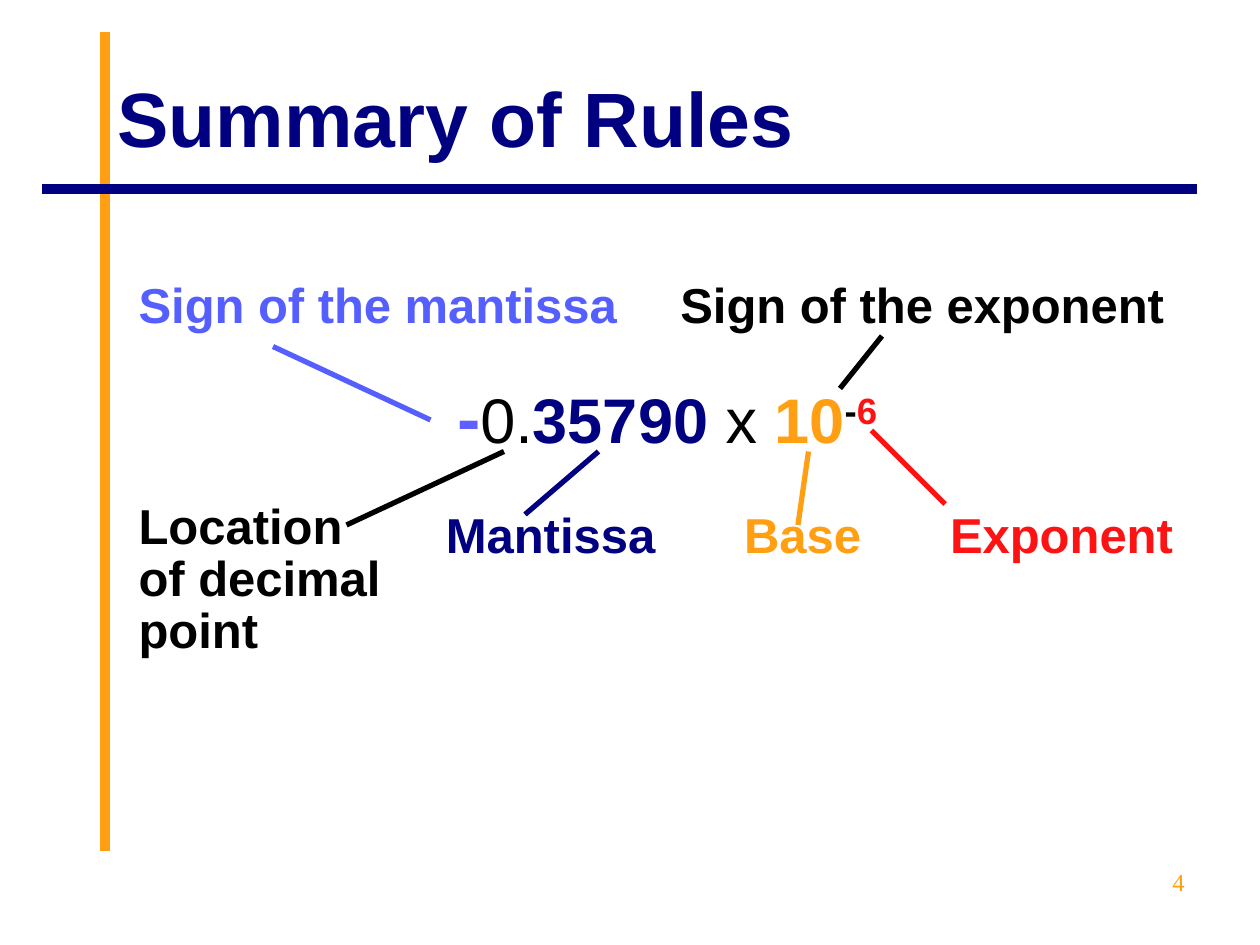
import pptx
import pptx.dml.color
import pptx.enum.shapes
import pptx.enum.text
import pptx.oxml
import pptx.oxml.ns
import pptx.util

Pt = pptx.util.Pt
ALIGN = pptx.enum.text.PP_ALIGN
ANCHOR = pptx.enum.text.MSO_ANCHOR
NAVY, ORANGE, BLACK, RED, BLUE = "000080", "FF9F11", "000000", "FD1313", "555FFF"


def set_color(color_format, value):
    color_format.rgb = pptx.dml.color.RGBColor.from_string(value)


def add_run(paragraph, text, size, color, bold=True, name="Arial"):
    run = paragraph.add_run()
    run.text = text
    run.font.size = Pt(size)
    run.font.name = name
    run.font.bold = bold
    set_color(run.font.color, color)
    return run


presentation = pptx.Presentation()
presentation.slide_width = Pt(720)
presentation.slide_height = Pt(540)
slide = presentation.slides.add_slide(presentation.slide_layouts[5])

title = slide.shapes.title
title.left, title.top, title.width, title.height = Pt(60), Pt(21.6), Pt(624), Pt(90)
title.text_frame.auto_size = pptx.enum.text.MSO_AUTO_SIZE.NONE
title.text_frame.vertical_anchor = ANCHOR.MIDDLE
paragraph = title.text_frame.paragraphs[0]
paragraph.alignment = ALIGN.LEFT
add_run(paragraph, "Summary of Rules", 44, NAVY)

column_widths = [154.8, 154.8, 154.1, 154.8]
row_heights = [42, 72, 118.8]
table = slide.shapes.add_table(
    3, 4, Pt(72), Pt(156), Pt(sum(column_widths)), Pt(sum(row_heights))
).table
table.first_row = False
table.horz_banding = False
for column, width in zip(table.columns, column_widths):
    column.width = Pt(width)
for row, height in zip(table.rows, row_heights):
    row.height = Pt(height)
for cell in table.iter_cells():
    cell.fill.background()
for row, column in [(0, 0), (0, 2), (1, 1)]:
    table.cell(row, column).merge(table.cell(row, column + 1))

labels = [
    (0, 0, "Sign of the mantissa", BLUE, ALIGN.LEFT, 1),
    (0, 2, "Sign of the exponent", BLACK, ALIGN.LEFT, 1),
    (2, 0, "Location of decimal point", BLACK, ALIGN.LEFT, 0.95),
    (2, 1, "Mantissa", NAVY, ALIGN.RIGHT, 1.55),
    (2, 2, "Base", ORANGE, ALIGN.CENTER, 1.55),
    (2, 3, "Exponent", RED, ALIGN.LEFT, 1.55),
]
for row, column, text, color, alignment, spacing in labels:
    paragraph = table.cell(row, column).text_frame.paragraphs[0]
    paragraph.alignment = alignment
    paragraph.line_spacing = spacing
    add_run(paragraph, text, 28, color)
table.cell(2, 0).margin_top = Pt(17.5)

formula = table.cell(1, 1).text_frame.paragraphs[0]
formula.alignment = ALIGN.CENTER
formula.line_spacing = 1.35
add_run(formula, "-", 40, "5F5FFF")
add_run(formula, "0.", 36, BLACK, bold=False)
add_run(formula, "35790", 36, NAVY)
add_run(formula, " x ", 36, BLACK, bold=False)
add_run(formula, "10", 36, ORANGE)
for text, color in [("-", BLACK), ("6", RED)]:
    run = add_run(formula, text, 36, color)
    run.font._element.set("baseline", "30000")

lines = [
    (60, 486, 60, 18, ORANGE, 5.5),
    (684, 108, 24, 108, NAVY, 5.5),
    (156, 198, 246, 240, BLUE, 3),
    (504, 192, 480, 222, BLACK, 3),
    (540, 288, 498, 246, RED, 3),
    (456, 300, 462, 258, ORANGE, 3),
    (300, 294, 342, 258, NAVY, 3),
    (198, 300, 288, 258, BLACK, 3),
]
for start_x, start_y, end_x, end_y, color, width in lines:
    connector = slide.shapes.add_connector(
        pptx.enum.shapes.MSO_CONNECTOR.STRAIGHT,
        Pt(start_x), Pt(start_y), Pt(end_x), Pt(end_y),
    )
    set_color(connector.line.color, color)
    connector.line.width = Pt(width)
    connector._element.spPr.append(
        pptx.oxml.parse_xml(f'<a:effectLst {pptx.oxml.ns.nsdecls("a")}/>')
    )

page_number = slide.shapes.add_textbox(Pt(516), Pt(492), Pt(168), Pt(37.5))
page_number.text_frame.word_wrap = True
paragraph = page_number.text_frame.paragraphs[0]
paragraph.alignment = ALIGN.RIGHT
add_run(paragraph, "4", 14, ORANGE, bold=False, name="Times New Roman")

presentation.save("out.pptx")
